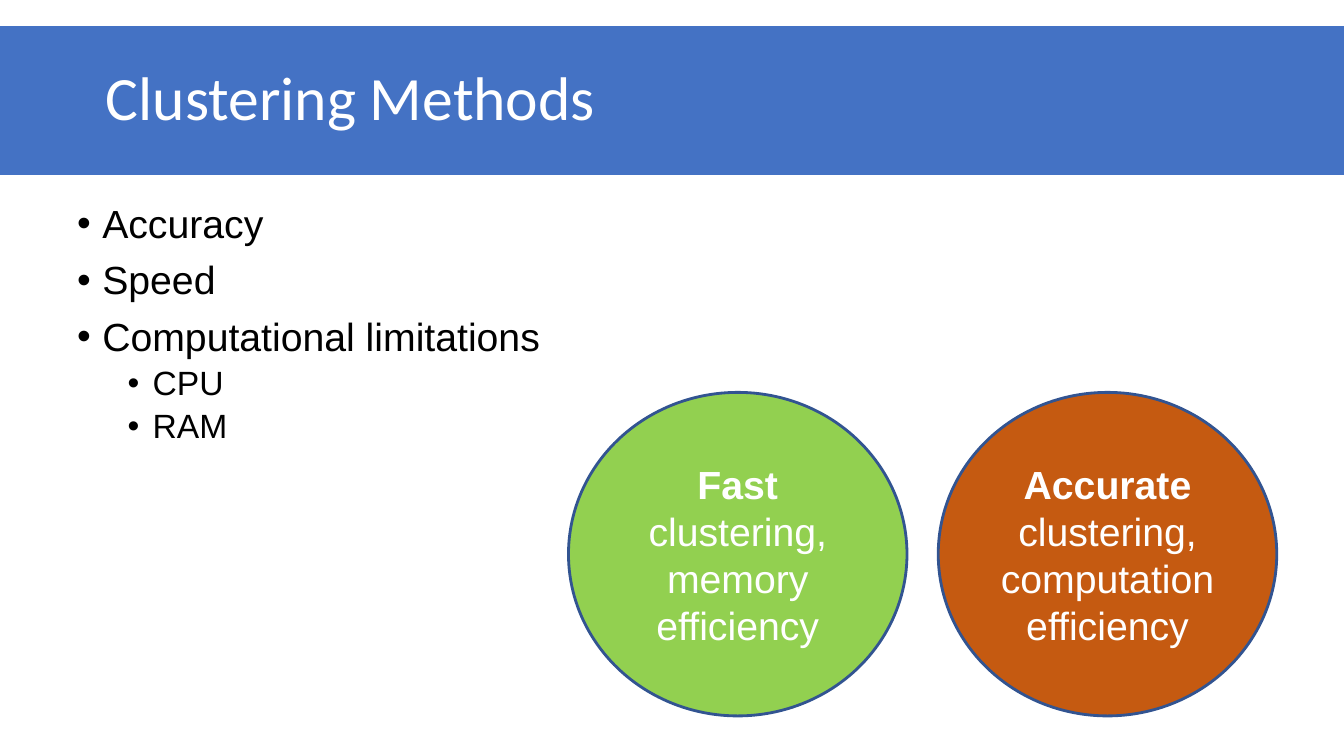
from pptx import Presentation
from pptx.dml.color import RGBColor
from pptx.enum.shapes import MSO_SHAPE as Shape
from pptx.enum.text import MSO_ANCHOR as Anchor, MSO_AUTO_SIZE as AutoSize, PP_ALIGN as Align
from pptx.oxml.ns import qn
from pptx.util import Inches, Pt
from lxml.etree import SubElement

BLUE = RGBColor(0x44, 0x72, 0xC4)
OUTLINE = RGBColor(0x32, 0x54, 0x91)
GREEN = RGBColor(0x92, 0xD0, 0x50)
ORANGE = RGBColor(0xC5, 0x5A, 0x11)
WHITE = RGBColor(0xFF, 0xFF, 0xFF)
BLACK = RGBColor(0, 0, 0)

WIDTH, HEIGHT = Inches(13.33), Inches(7.5)
MARGIN = 0.05 * WIDTH

# Text, level
CRITERIA = [("Accuracy", 0), ("Speed", 0), ("Computational limitations", 0),
            ("CPU", 1), ("RAM", 1)]
# Size, space before and left margin of each level
LEVELS = [(28, 10, 0.25), (24, 5, 0.75)]
# Bold word, remaining words, fill
GOALS = [("Fast ", "clustering, memory efficiency", GREEN),
         ("Accurate ", "clustering, computation efficiency", ORANGE)]


def set_all(target, values):
    for name, value in values.items():
        setattr(target, name, value)


def add_run(para, text, color, size, name="Arial", bold=False):
    run = para.add_run()
    run.text = text
    set_all(run.font, {"name": name, "size": Pt(size), "bold": bold})
    run.font.color.rgb = color


def paint(shape, fill, line):
    shape.fill.solid()
    shape.fill.fore_color.rgb = fill
    shape.line.color.rgb = line
    shape.line.width = Pt(2)


def place(shape, box):
    names = ("left", "top", "width", "height")
    set_all(shape, {name: int(value) for name, value in zip(names, box)})


def title_band(page, box):
    title = page.shapes.title
    place(title, box)
    paint(title, BLUE, BLUE)
    set_all(title.text_frame, {"auto_size": AutoSize.NONE, "word_wrap": True,
                               "vertical_anchor": Anchor.MIDDLE,
                               "margin_left": Inches(1.05)})
    para = title.text_frame.paragraphs[0]
    set_all(para, {"alignment": Align.LEFT, "line_spacing": 0.9})
    add_run(para, "Clustering Methods", WHITE, 44, "Calibri")


def criteria_list(page, box):
    frame = page.shapes.add_textbox(*map(int, box)).text_frame
    frame.word_wrap = True
    for index, (text, level) in enumerate(CRITERIA):
        size, before, indent = LEVELS[level]
        para = frame.add_paragraph() if index else frame.paragraphs[0]
        set_all(para, {"level": level, "line_spacing": 0.9,
                       "space_before": Pt(before)})
        add_run(para, text, BLACK, size)
        # Bullet with a hanging indent
        properties = para._p.get_or_add_pPr()
        properties.set("marL", str(Inches(indent)))
        properties.set("indent", str(Inches(-0.25)))
        SubElement(properties, qn("a:buFont")).set("typeface", "Arial")
        SubElement(properties, qn("a:buChar")).set("char", "•")


def goal_circles(page, box):
    left, top, width, height = box
    gap = Inches(0.31)
    diameter = (width - gap * (len(GOALS) - 1)) / len(GOALS)
    for index, (lead, rest, fill) in enumerate(GOALS):
        spot = (left + index * (diameter + gap), top, diameter, height)
        circle = page.shapes.add_shape(Shape.OVAL, *map(int, spot))
        circle.shadow.inherit = False
        paint(circle, fill, OUTLINE)
        set_all(circle.text_frame, {"word_wrap": True,
                                    "vertical_anchor": Anchor.MIDDLE})
        para = circle.text_frame.paragraphs[0]
        para.alignment = Align.CENTER
        add_run(para, lead, WHITE, 28, bold=True)
        add_run(para, rest, WHITE, 28)


def main():
    deck = Presentation()
    set_all(deck, {"slide_width": WIDTH, "slide_height": HEIGHT})
    page = deck.slides.add_slide(deck.slide_layouts[5])
    title_band(page, (0, 0.036 * HEIGHT, WIDTH, 0.193 * HEIGHT))
    criteria_list(page, (MARGIN, 0.264 * HEIGHT, WIDTH - 2 * MARGIN, 0.58 * HEIGHT))
    circles_left = 0.423 * WIDTH
    goal_circles(page, (circles_left, 0.519 * HEIGHT,
                        WIDTH - MARGIN - circles_left, 0.428 * HEIGHT))
    deck.save("out.pptx")


if __name__ == "__main__":
    main()
